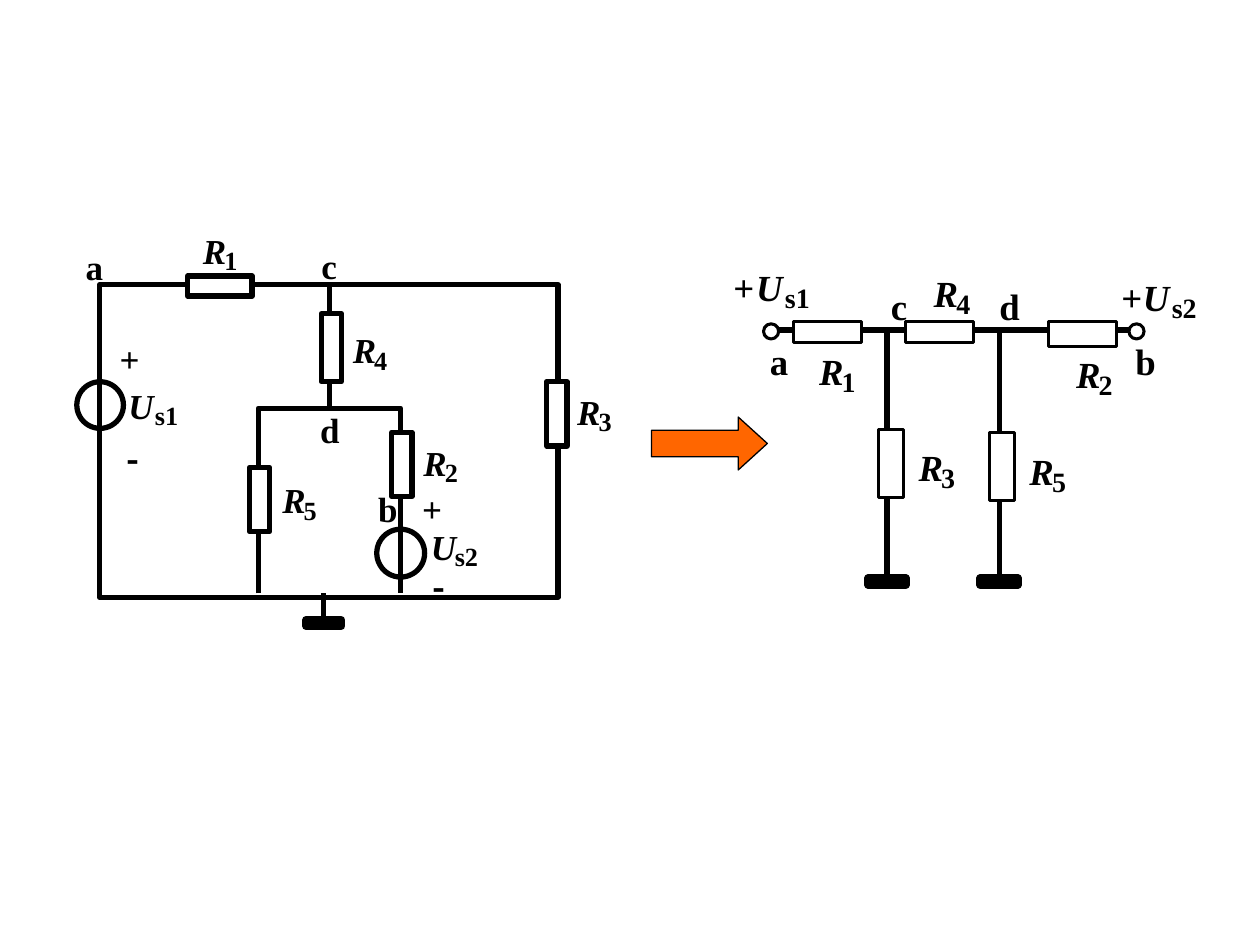
"""Draw a two-source circuit and its equivalent node-potential diagram."""
from typing import NamedTuple, Optional

from lxml.etree import SubElement
from pptx import Presentation
from pptx.dml.color import RGBColor
from pptx.enum.shapes import MSO_CONNECTOR, MSO_SHAPE
from pptx.enum.text import MSO_AUTO_SIZE, PP_ALIGN
from pptx.oxml.ns import qn
from pptx.util import Inches, Pt

BLACK = RGBColor(0x00, 0x00, 0x00)
WHITE = RGBColor(0xFF, 0xFF, 0xFF)
ORANGE = RGBColor(0xFF, 0x66, 0x00)
SERIF = "Times New Roman"
SANS = "Noto Sans CJK SC"
COLUMNS, ROWS = 100, 75
SLIDE_WIDTH, SLIDE_HEIGHT = Inches(10), Inches(7.5)
EM_WIDTHS = {"R": 0.67, "U": 0.72, "+": 0.57, "-": 0.33, "a": 0.5, "b": 0.56,
             "c": 0.44, "d": 0.56, "s": 0.39}
DIGIT_EM = 0.5
WIRE = 3


class Box(NamedTuple):
    """Column, row, width and height of a part on the grid."""
    column: float
    row: float
    width: float
    height: float


class Style(NamedTuple):
    """Line width of the parts, and text sizes, of one circuit."""
    outline: float
    size: int
    subscript: int
    drop: float


class Label(NamedTuple):
    """A node name, sign or quantity, with its optional subscript."""
    text: str
    column: float
    row: float
    subscript: str = ""
    gap: float = 0


LEFT = Style(3, 20, 15, 1.2)
RIGHT = Style(1.75, 21, 16, 1.25)

LEFT_RESISTORS = [Box(43.4, 30.3, 1.6, 5.1), Box(19.8, 37.1, 1.6, 5.1),
                  Box(14.9, 21.9, 5.1, 1.6), Box(25.5, 24.9, 1.6, 5.4),
                  Box(31.1, 34.3, 1.6, 5.1)]
RIGHT_RESISTORS = [Box(69.7, 34.1, 2, 5.4), Box(71.9, 25.5, 5.4, 1.7),
                   Box(63, 25.5, 5.4, 1.7), Box(83.2, 25.5, 5.4, 2),
                   Box(78.5, 34.3, 2, 5.4)]
TERMINALS = [Box(60.6, 25.7, 1.2, 1.2), Box(89.6, 25.7, 1.2, 1.2)]

LEFT_LABELS = [
    Label("+", 33.5, 38.7), Label("U", 34.2, 41.7, "s2", 1.9), Label("-", 34.3, 44.9),
    Label("+", 9.5, 26.8), Label("U", 10.2, 30.5, "s1", 2.1), Label("-", 10, 34.7),
    Label("R", 16.1, 18.2, "1", 1.7), Label("R", 33.6, 35, "2", 1.7),
    Label("R", 45.8, 31, "3", 1.7), Label("R", 28, 26.1, "4", 1.7),
    Label("R", 22.4, 38, "5", 1.7), Label("a", 6.8, 19.5),
    Label("b", 30, 38.7), Label("c", 25.5, 19.4), Label("d", 25.4, 32.4)]
RIGHT_LABELS = [
    Label("+", 58.2, 21), Label("U", 60, 21, "s1", 2.3),
    Label("+", 89, 21.8), Label("U", 90.7, 21.8, "s2", 2.3),
    Label("R", 65, 27.7, "1", 1.8), Label("R", 85.4, 27.9, "2", 1.8),
    Label("R", 72.9, 35.3, "3", 1.8), Label("R", 74.1, 21.5, "4", 1.8),
    Label("R", 81.7, 35.6, "5", 1.8), Label("a", 61.1, 26.9),
    Label("b", 90.1, 26.9), Label("c", 70.7, 22.5), Label("d", 79.3, 22.5)]


def across(columns: float) -> int:
    """Turn columns into a horizontal length."""
    return round(SLIDE_WIDTH * columns / COLUMNS)


def down(rows: float) -> int:
    """Turn rows into a vertical length."""
    return round(SLIDE_HEIGHT * rows / ROWS)


def place(box: Box) -> tuple[int, int, int, int]:
    """Turn a grid box into slide lengths."""
    return across(box.column), down(box.row), across(box.width), down(box.height)


def finish(part, fill: Optional[RGBColor], outline: float) -> None:
    """Give a part its fill and black outline, without shadow."""
    part.shadow.inherit = False
    if fill is None:
        part.fill.background()
    else:
        part.fill.solid()
        part.fill.fore_color.rgb = fill
    part.line.color.rgb = BLACK
    part.line.width = Pt(outline)


def draw_part(circuit, preset: MSO_SHAPE, box: Box, fill: Optional[RGBColor], outline: float):
    """Draw a preset shape on the grid."""
    part = circuit.add_shape(preset, *place(box))
    finish(part, fill, outline)
    return part


def draw_wire(circuit, start: tuple[float, float], end: tuple[float, float]):
    """Draw a straight wire between two grid points."""
    wire = circuit.add_connector(MSO_CONNECTOR.STRAIGHT, across(start[0]), down(start[1]),
                                 across(end[0]), down(end[1]))
    wire.line.color.rgb = BLACK
    wire.line.width = Pt(WIRE)
    SubElement(wire._element.spPr, qn("a:effectLst"))
    return wire


def draw_ground(circuit, node: tuple[float, float], row: float, width: float) -> None:
    """Draw a lead from a node down to a ground bar."""
    lead = draw_wire(circuit, node, (node[0], row))
    bar = draw_part(circuit, MSO_SHAPE.RECTANGLE,
                    Box(node[0] - width / 2, row, width, 0.5), BLACK, 4.5)
    lead.end_connect(bar, 0)


def draw_branch(circuit, points: list[tuple[float, float]]) -> None:
    """Draw an open bent wire through grid points."""
    corners = [(across(column), down(row)) for column, row in points]
    builder = circuit.build_freeform(*corners[0])
    builder.add_line_segments(corners[1:], close=False)
    finish(builder.convert_to_shape(), None, WIRE)


def write(circuit, text: str, column: float, row: float, size: int) -> None:
    """Write one bold piece of a label in a fitted box."""
    ems = sum(EM_WIDTHS.get(letter, DIGIT_EM) for letter in text)
    box = Box(column, row, ems * size / 7.2, size / 6)
    frame = circuit.add_textbox(*place(box)).text_frame
    frame.margin_left = frame.margin_right = frame.margin_top = frame.margin_bottom = 0
    frame.word_wrap = False
    frame.auto_size = MSO_AUTO_SIZE.SHAPE_TO_FIT_TEXT
    paragraph = frame.paragraphs[0]
    paragraph.alignment = PP_ALIGN.CENTER
    run = paragraph.add_run()
    run.text = text
    run.font.name = SANS if text == "-" else SERIF
    run.font.size = Pt(size)
    run.font.bold = True
    run.font.italic = text in ("R", "U")
    run.font.color.rgb = BLACK


def draw_labels(circuit, labels: list[Label], style: Style) -> None:
    """Write every label of a circuit with its subscript."""
    for label in labels:
        write(circuit, label.text, label.column, label.row, style.size)
        if label.subscript:
            write(circuit, label.subscript, label.column + label.gap,
                  label.row + style.drop, style.subscript)


def draw_resistors(circuit, resistors: list[Box], style: Style) -> None:
    """Draw the resistors of a circuit over its wires."""
    for resistor in resistors:
        draw_part(circuit, MSO_SHAPE.RECTANGLE, resistor, WHITE, style.outline)


def draw_source_circuit(circuit) -> None:
    """Draw the circuit with its two voltage sources."""
    draw_part(circuit, MSO_SHAPE.OVAL, Box(29.9, 42, 3.8, 3.8), WHITE, LEFT.outline)
    draw_branch(circuit, [(20.5, 47.1), (20.5, 32.4), (31.8, 32.4), (31.8, 47.1)])
    draw_part(circuit, MSO_SHAPE.RECTANGLE, Box(7.9, 22.6, 36.4, 24.8), None, WIRE)
    draw_part(circuit, MSO_SHAPE.OVAL, Box(6.1, 30.3, 3.7, 3.7), None, LEFT.outline)
    draw_wire(circuit, (26.15, 22.8), (26.15, 32.4))
    draw_resistors(circuit, LEFT_RESISTORS, LEFT)
    draw_ground(circuit, (25.7, 47.1), 49.2, 2.8)
    draw_labels(circuit, LEFT_LABELS, LEFT)


def draw_node_circuit(circuit) -> None:
    """Draw the equivalent circuit between two terminals."""
    draw_wire(circuit, (61.3, 26.2), (90.8, 26.2))
    for column in (70.4, 79.3):
        draw_ground(circuit, (column, 26.2), 45.9, 3)
    draw_resistors(circuit, RIGHT_RESISTORS, RIGHT)
    for terminal in TERMINALS:
        draw_part(circuit, MSO_SHAPE.OVAL, terminal, WHITE, RIGHT.outline)
    draw_labels(circuit, RIGHT_LABELS, RIGHT)


def main() -> None:
    """Build the slide and save it."""
    deck = Presentation()
    deck.slide_width, deck.slide_height = SLIDE_WIDTH, SLIDE_HEIGHT
    slide = deck.slides.add_slide(deck.slide_layouts[6])
    arrow = draw_part(slide.shapes, MSO_SHAPE.RIGHT_ARROW, Box(51.7, 33.1, 9.2, 4.2), ORANGE, 0.75)
    arrow.adjustments[1] = 0.55
    draw_source_circuit(slide.shapes)
    draw_node_circuit(slide.shapes.add_group_shape().shapes)
    deck.save("out.pptx")


if __name__ == "__main__":
    main()
